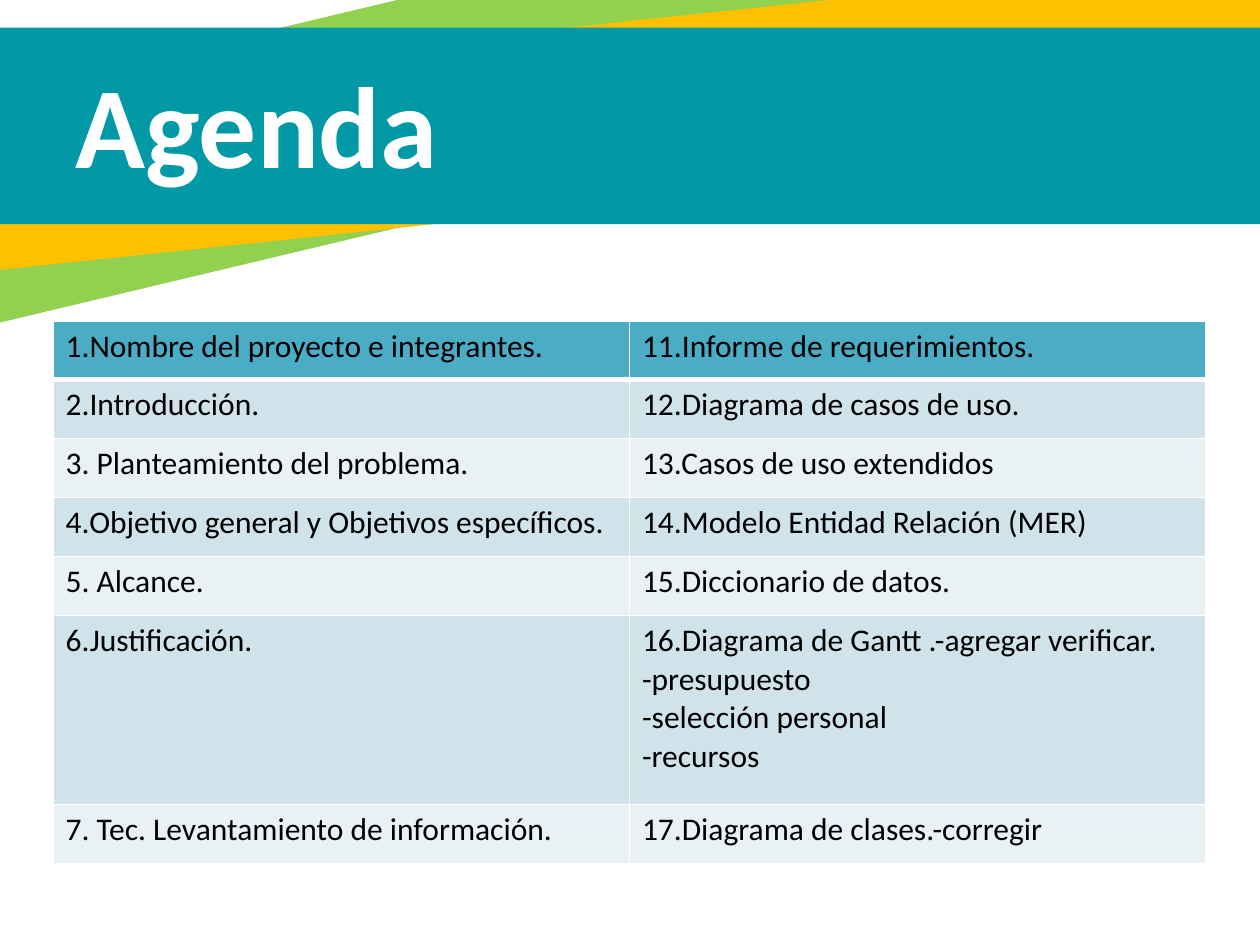
import pptx
import pptx.dml.color
import pptx.enum.shapes
import pptx.enum.text
import pptx.oxml
import pptx.oxml.ns
import pptx.util
from pptx.dml.color import RGBColor
from pptx.util import Cm

GREEN = RGBColor(0x92, 0xD0, 0x50)
AMBER = RGBColor(0xFF, 0xC0, 0x00)
TEAL = RGBColor(0x00, 0x99, 0xA5)
WHITE = RGBColor(0xFF, 0xFF, 0xFF)
BLACK = RGBColor(0x00, 0x00, 0x00)
HEADER_FILL = RGBColor(0x4B, 0xAC, 0xC6)
ROW_FILLS = (RGBColor(0xE9, 0xF1, 0xF5), RGBColor(0xD0, 0xE3, 0xEA))

TITLE_FONT = {"name": "Calibri", "size": pptx.util.Pt(66), "bold": True}
CELL_FONT = {"name": "Calibri", "size": pptx.util.Pt(18), "bold": False}

# left, top, width, height in cm, rotation in degrees, colour
BANDS = [
    (-6.38, -0.46, 33.17, 4.47, 346.6, GREEN),
    (-2.79, 0.51, 29.54, 3.66, 354, AMBER),
    (-2.69, 0.56, 29.54, 3.96, 0, TEAL),
]

AGENDA = [
    ("1.Nombre del proyecto e integrantes.", "11.Informe de requerimientos."),
    ("2.Introducción.", "12.Diagrama de casos de uso."),
    ("3. Planteamiento del problema.", "13.Casos de uso extendidos"),
    ("4.Objetivo general y Objetivos específicos.",
     "14.Modelo Entidad Relación (MER)"),
    ("5. Alcance.", "15.Diccionario de datos."),
    ("6.Justificación.",
     "16.Diagrama de Gantt .-agregar verificar.\n-presupuesto\n"
     "-selección personal\n-recursos"),
    ("7. Tec. Levantamiento de información.", "17.Diagrama de clases.-corregir"),
]
ROW_HEIGHTS = [1.17, 1.19, 1.19, 1.19, 1.19, 3.81, 1.19]


def set_font(font, values, color):
    for name, value in values.items():
        setattr(font, name, value)
    font.color.rgb = color


def add_header(s, left, top):
    for x, y, width, height, rotation, color in BANDS:
        sp = s.shapes.add_shape(
            pptx.enum.shapes.MSO_SHAPE.RECTANGLE,
            left + Cm(x), top + Cm(y), Cm(width), Cm(height))
        sp.rotation = rotation
        sp.shadow.inherit = False
        sp.fill.solid()
        sp.fill.fore_color.rgb = color
        sp.line.fill.background()


def add_title(s, left, top, width, height, text):
    """Fill the title placeholder and bring it in front of the bands."""
    sp = s.shapes.title
    box = {"left": left, "top": top, "width": width, "height": height}
    for name, value in box.items():
        setattr(sp, name, value)
    sp.element.getparent().append(sp.element)
    tf = sp.text_frame
    tf.text = text
    tf.word_wrap = True
    tf.auto_size = pptx.enum.text.MSO_AUTO_SIZE.NONE
    tf.vertical_anchor = pptx.enum.text.MSO_ANCHOR.MIDDLE
    p = tf.paragraphs[0]
    p.alignment = pptx.enum.text.PP_ALIGN.LEFT
    set_font(p.runs[0].font, TITLE_FONT, WHITE)


def set_borders(cell, bottom):
    """Draw white borders of 1 pt, with the given width in pt below or above."""
    tc_pr = cell._tc.get_or_add_tcPr()
    for side, points in {"L": 1, "R": 1, "T": 1, "B": bottom}.items():
        tc_pr.append(pptx.oxml.parse_xml(
            f'<a:ln{side} {pptx.oxml.ns.nsdecls("a")} w="{pptx.util.Pt(points)}">'
            f'<a:solidFill><a:srgbClr val="{WHITE}"/></a:solidFill></a:ln{side}>'))


def add_agenda(s, left, top, width):
    table = s.shapes.add_table(
        len(AGENDA), 2, left, top, width, Cm(sum(ROW_HEIGHTS))).table
    for column in table.columns:
        column.width = width // 2
    for i, (texts, height) in enumerate(zip(AGENDA, ROW_HEIGHTS)):
        table.rows[i].height = Cm(height)
        for j, text in enumerate(texts):
            cell = table.cell(i, j)
            cell.text = text
            set_borders(cell, bottom=1 if i else 3)
            cell.fill.solid()
            cell.fill.fore_color.rgb = ROW_FILLS[i % 2] if i else HEADER_FILL
            for p in cell.text_frame.paragraphs:
                set_font(p.runs[0].font, CELL_FONT, BLACK)


def main():
    prs = pptx.Presentation()
    prs.slide_width, prs.slide_height = Cm(25.4), Cm(19.05)
    s = prs.slides.add_slide(prs.slide_layouts.get_by_name("Title Only"))
    add_header(s, Cm(0), Cm(0))
    add_title(s, Cm(1.27), Cm(1.24), Cm(16.71), Cm(2.46), "Agenda")
    add_agenda(s, Cm(1.07), Cm(6.48), Cm(23.24))
    prs.save("out.pptx")


if __name__ == "__main__":
    main()
